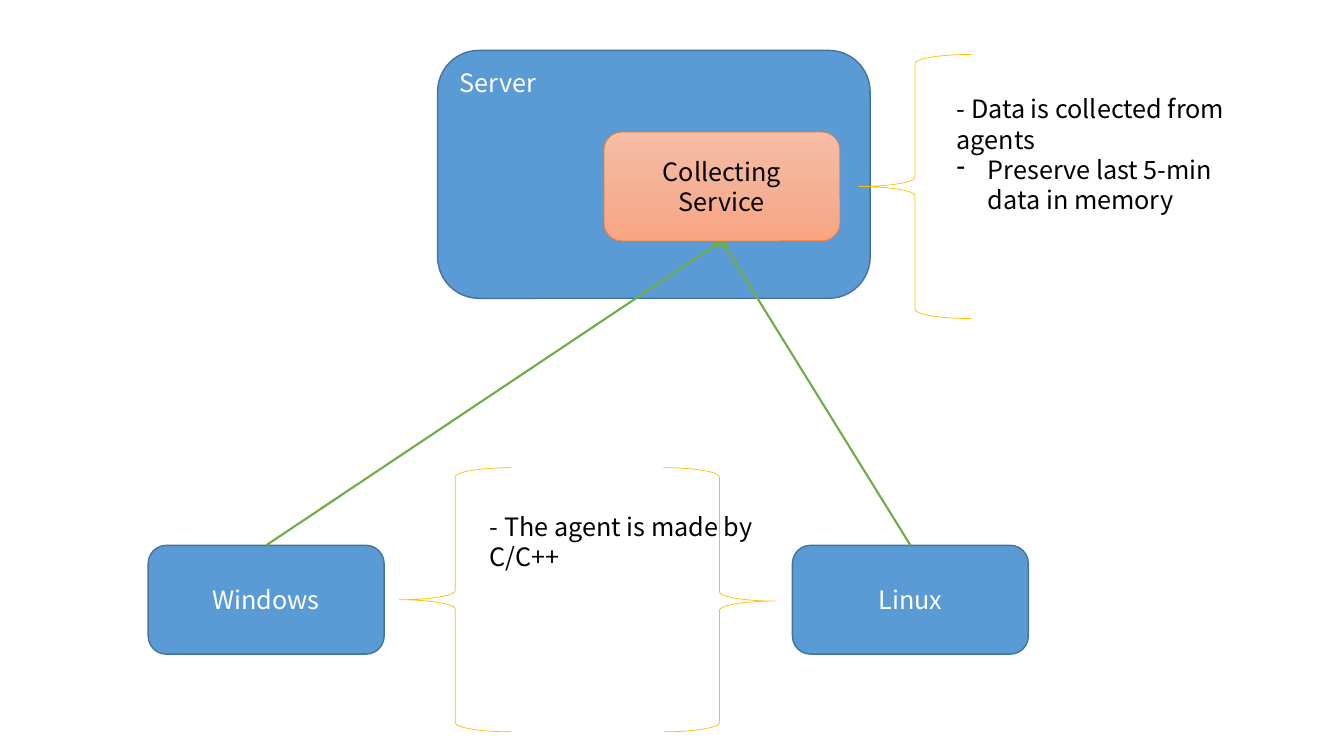
from copy import deepcopy
from dataclasses import dataclass
from typing import Optional

from pptx import Presentation
from pptx.dml.color import RGBColor
from pptx.enum.shapes import MSO_CONNECTOR, MSO_SHAPE
from pptx.enum.text import MSO_ANCHOR, MSO_AUTO_SIZE, PP_ALIGN
from pptx.oxml.ns import qn
from pptx.shapes.autoshape import Shape
from pptx.slide import Slide
from pptx.text.text import TextFrame
from pptx.util import Emu, Pt

ROUNDED = MSO_SHAPE.ROUNDED_RECTANGLE
LEFT_BRACE = MSO_SHAPE.LEFT_BRACE
STRAIGHT = MSO_CONNECTOR.STRAIGHT
TOP, MIDDLE = MSO_ANCHOR.TOP, MSO_ANCHOR.MIDDLE
LEFT, CENTER = PP_ALIGN.LEFT, PP_ALIGN.CENTER
GROW = MSO_AUTO_SIZE.SHAPE_TO_FIT_TEXT

EMU_PER_PX = 9144  # 100 px to the inch
FONT = "Noto Sans CJK KR"
FONT_SIZE = Pt(18)

WHITE = RGBColor(0xFF, 0xFF, 0xFF)
BLACK = RGBColor(0x00, 0x00, 0x00)
BLUE = RGBColor(0x5B, 0x9B, 0xD5)
DARK_BLUE = RGBColor(0x43, 0x73, 0x9E)
ORANGE = RGBColor(0xED, 0x7D, 0x31)
GREEN = RGBColor(0x70, 0xAD, 0x47)
GOLD = RGBColor(0xFF, 0xC0, 0x00)
SERVICE_GRADIENT = (
    RGBColor(0xF7, 0xBD, 0xA5),
    RGBColor(0xF5, 0xB1, 0x96),
    RGBColor(0xF8, 0xA5, 0x82),
)

NODE_WIDTH, NODE_HEIGHT = 234, 108
AGENT_TOP = 541
BRACE_WIDTH, BRACE_HEIGHT = 111, 262
TOP_NODE, BOTTOM_NODE = 0, 2  # connection sites
BULLET_INDENT = 31


@dataclass(frozen=True)
class Node:
    text: str
    left: int
    top: int
    width: int = NODE_WIDTH
    height: int = NODE_HEIGHT
    gradient: tuple[RGBColor, ...] = ()
    line: RGBColor = DARK_BLUE
    line_width: float = 1
    text_color: RGBColor = WHITE
    anchor: MSO_ANCHOR = MIDDLE
    align: PP_ALIGN = CENTER


@dataclass(frozen=True)
class Brace:
    left: int
    top: int
    rotation: int = 0
    tip: float = 0.5


@dataclass(frozen=True)
class Note:
    left: int
    top: int
    width: int
    height: int
    text: str
    bullet: Optional[str] = None


WINDOWS = Node("Windows", 147, AGENT_TOP)
LINUX = Node("Linux", 786, AGENT_TOP)
SERVER = Node("Server", 434, 50, 429, 246, anchor=TOP, align=LEFT)
SERVICE = Node("Collecting Service", 599, 131, gradient=SERVICE_GRADIENT,
               line=ORANGE, line_width=0.5, text_color=BLACK)
BRACES = (
    Brace(852, 54),
    Brace(396, 464),
    Brace(658, 464, rotation=180, tip=0.495),
)
NOTES = (
    Note(939, 88, 325, 131, "- Data is collected from agents",
         bullet="Preserve last 5-min data in memory"),
    Note(476, 502, 325, 71, "- The agent is made by C/C++"),
)


def px(length: int) -> Emu:
    return Emu(length * EMU_PER_PX)


def format_text(text_frame: TextFrame, color: RGBColor, align: PP_ALIGN) -> None:
    for paragraph in text_frame.paragraphs:
        paragraph.alignment = align
        for run in paragraph.runs:
            run.font.name = FONT
            run.font.size = FONT_SIZE
            run.font.color.rgb = color


def fill_gradient(shape: Shape, colors: tuple[RGBColor, ...]) -> None:
    """Fill from top to bottom with evenly spaced colours."""
    shape.fill.gradient()
    shape.fill.gradient_angle = 270
    stop_list = shape._element.spPr.find(qn("a:gradFill")).find(qn("a:gsLst"))
    while len(stop_list) < len(colors):
        stop_list.append(deepcopy(stop_list[-1]))
    for index, (stop, color) in enumerate(zip(shape.fill.gradient_stops, colors)):
        stop.position = index / (len(colors) - 1)
        stop.color.rgb = color


def add_node(slide: Slide, node: Node) -> Shape:
    shape = slide.shapes.add_shape(
        ROUNDED, px(node.left), px(node.top), px(node.width), px(node.height))
    shape.shadow.inherit = False
    if node.gradient:
        fill_gradient(shape, node.gradient)
    else:
        shape.fill.solid()
        shape.fill.fore_color.rgb = BLUE
    shape.line.color.rgb = node.line
    shape.line.width = Pt(node.line_width)
    text_frame = shape.text_frame
    text_frame.text = node.text
    text_frame.word_wrap = True
    text_frame.vertical_anchor = node.anchor
    format_text(text_frame, node.text_color, node.align)
    return shape


def add_arrow(slide: Slide, agent: Shape, service: Shape) -> None:
    connector = slide.shapes.add_connector(STRAIGHT, 0, 0, 0, 0)
    connector.begin_connect(agent, TOP_NODE)
    connector.end_connect(service, BOTTOM_NODE)
    connector.line.color.rgb = GREEN
    connector.line.width = Pt(1.5)
    line = connector.line._get_or_add_ln()
    line.append(line.makeelement(qn("a:tailEnd"), {"type": "triangle"}))
    properties = connector._element.spPr
    properties.append(properties.makeelement(qn("a:effectLst"), {}))


def add_brace(slide: Slide, brace: Brace) -> None:
    shape = slide.shapes.add_shape(
        LEFT_BRACE, px(brace.left), px(brace.top), px(BRACE_WIDTH), px(BRACE_HEIGHT))
    shape.shadow.inherit = False
    shape.adjustments[1] = brace.tip
    shape.rotation = brace.rotation
    shape.fill.background()
    shape.line.color.rgb = GOLD
    shape.line.width = Pt(0.5)


def add_note(slide: Slide, note: Note) -> None:
    box = slide.shapes.add_textbox(
        px(note.left), px(note.top), px(note.width), px(note.height))
    text_frame = box.text_frame
    text_frame.word_wrap = True
    text_frame.auto_size = GROW
    text_frame.text = note.text
    if note.bullet:
        paragraph = text_frame.add_paragraph()
        paragraph.text = note.bullet
        properties = paragraph._p.get_or_add_pPr()
        properties.set("marL", str(px(BULLET_INDENT)))
        properties.set("indent", str(-px(BULLET_INDENT)))
        properties.append(properties.makeelement(qn("a:buChar"), {"char": "-"}))
    format_text(text_frame, BLACK, LEFT)


def main() -> None:
    presentation = Presentation()
    presentation.slide_width = px(1333)
    presentation.slide_height = px(750)
    slide = presentation.slides.add_slide(presentation.slide_layouts[6])

    agents = [add_node(slide, node) for node in (WINDOWS, LINUX)]
    add_node(slide, SERVER)
    service = add_node(slide, SERVICE)
    for agent in agents:
        add_arrow(slide, agent, service)
    for brace in BRACES:
        add_brace(slide, brace)
    for note in NOTES:
        add_note(slide, note)

    presentation.save("out.pptx")


if __name__ == "__main__":
    main()
